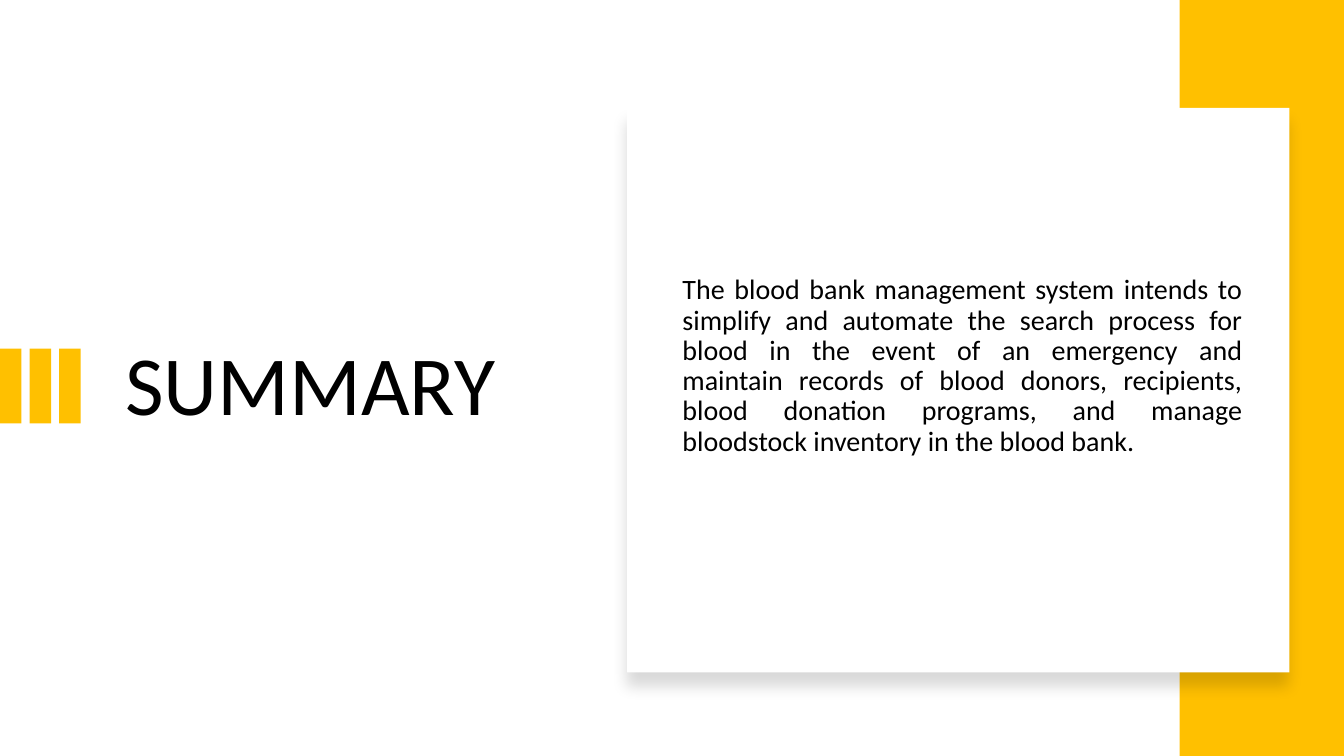
import pptx
import pptx.util
import pptx.dml.color
import pptx.enum.shapes
import pptx.enum.text
import pptx.oxml
import pptx.oxml.ns

Inches, Pt = pptx.util.Inches, pptx.util.Pt
RGBColor = pptx.dml.color.RGBColor
PP_ALIGN = pptx.enum.text.PP_ALIGN

AMBER = RGBColor(0xFF, 0xC0, 0x00)
WHITE = RGBColor(0xFF, 0xFF, 0xFF)
BLACK = RGBColor(0x00, 0x00, 0x00)
FONT = "Calibri"
SLIDE_W, SLIDE_H = 13.33, 7.5

SUMMARY = (
    "The blood bank management system intends to simplify and automate the "
    "search process for blood in the event of an emergency and maintain records "
    "of blood donors, recipients, blood donation programs, and manage bloodstock "
    "inventory in the blood bank."
)


def add_rect(shapes, x, y, w, h, color):
    sp = shapes.add_shape(pptx.enum.shapes.MSO_SHAPE.RECTANGLE,
                          Inches(x), Inches(y), Inches(w), Inches(h))
    sp.fill.solid()
    sp.fill.fore_color.rgb = color
    sp.line.fill.background()
    sp.shadow.inherit = False
    return sp


def add_soft_shadow(sp):
    effects = sp._element.spPr.find(pptx.oxml.ns.qn("a:effectLst"))
    effects.append(pptx.oxml.parse_xml(
        f'<a:outerShdw {pptx.oxml.ns.nsdecls("a")} blurRad="{Pt(11)}" '
        f'dist="{Pt(10)}" dir="5400000" algn="t" rotWithShape="0">'
        '<a:srgbClr val="000000"><a:alpha val="15000"/></a:srgbClr>'
        '</a:outerShdw>'))


def write_text(sp, text, size, align, space_before=0):
    tf = sp.text_frame
    tf.word_wrap = True
    tf.auto_size = pptx.enum.text.MSO_AUTO_SIZE.NONE
    tf.vertical_anchor = pptx.enum.text.MSO_ANCHOR.MIDDLE
    p = tf.paragraphs[0]
    p.alignment = align
    p.line_spacing = 0.9
    p.space_before = Pt(space_before)
    r = p.add_run()
    r.text = text
    r.font.name = FONT
    r.font.size = Pt(size)
    r.font.color.rgb = BLACK


def add_title(slide, x, y, w, h):
    sp = slide.shapes.title
    sp.left, sp.top, sp.width, sp.height = map(Inches, (x, y, w, h))
    write_text(sp, "SUMMARY", 60, PP_ALIGN.LEFT)


def add_accent_bars(slide, x, y, w, h, count=3):
    """Equal bars across the box, with gaps of a fixed share of its width."""
    gap = 0.1 * w
    bar_w = (w - gap * (count - 1)) / count
    group = slide.shapes.add_group_shape()
    for i in range(count):
        add_rect(group.shapes, x + i * (bar_w + gap), y, bar_w, h, AMBER)


def add_summary_card(slide, x, y, w, h):
    add_soft_shadow(add_rect(slide.shapes, x, y, w, h, WHITE))
    # Text sits inside the card, raised a little above its middle
    pad_x, pad_y = 0.45, 0.39
    sp = slide.shapes.add_textbox(Inches(x + pad_x), Inches(y + pad_y),
                                  Inches(5.75), Inches(4.79))
    sp.text_frame.margin_bottom = Inches(0.49)
    write_text(sp, SUMMARY, 20, PP_ALIGN.JUSTIFY, space_before=10)


def build_summary_slide(prs):
    slide = prs.slides.add_slide(prs.slide_layouts[5])
    slide.background.fill.solid()
    slide.background.fill.fore_color.rgb = WHITE

    # Left: title with accent bars
    add_title(slide, 1.14, 1.46, 4.26, 4.79)
    add_accent_bars(slide, 0, 3.46, 0.8, 0.74)

    # Right: side band behind the card
    band_w = 1.63
    add_rect(slide.shapes, SLIDE_W - band_w, 0, band_w, SLIDE_H, AMBER)
    add_summary_card(slide, 6.22, 1.07, 6.57, 5.6)


def main():
    prs = pptx.Presentation()
    prs.slide_width, prs.slide_height = Inches(SLIDE_W), Inches(SLIDE_H)
    build_summary_slide(prs)
    prs.save("out.pptx")


if __name__ == "__main__":
    main()
